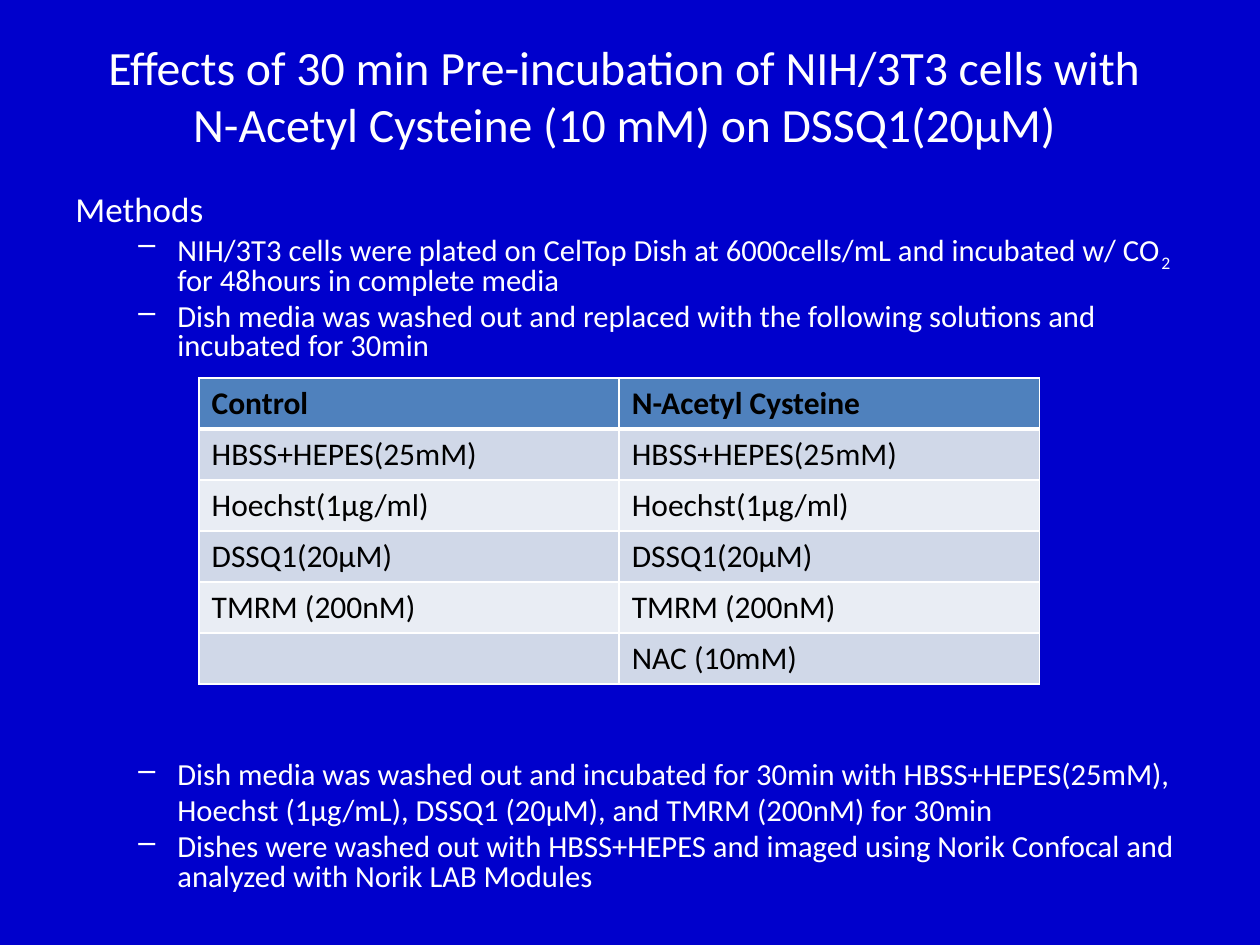
from lxml.etree import SubElement
from pptx import Presentation
from pptx.dml.color import RGBColor
from pptx.enum.text import PP_ALIGN
from pptx.oxml.ns import qn
from pptx.util import Inches, Pt

FONT = "Calibri"
WHITE = "FFFFFF"
TITLE = ("Effects of 30 min Pre-incubation of NIH/3T3 cells with "
         "N-Acetyl Cysteine (10 mM) on DSSQ1(20µM)")
PLATED = [("NIH/3T3 cells were plated on CelTop Dish at 6000cells/mL and incubated w/ CO", False),
          ("2", True), (" for 48hours in complete media", False)]
SWAPPED = [("Dish media was washed out and replaced with the following solutions "
            "and incubated for 30min", False)]
STAINED = [("Dish media was washed out and incubated for 30min with HBSS+HEPES(25mM), "
            "Hoechst (1µg/mL), DSSQ1 (20µM), and TMRM (200nM) for 30min", False)]
IMAGED = [("Dishes were washed out with HBSS+HEPES and imaged using Norik Confocal "
           "and analyzed with Norik LAB Modules", False)]
SHARED = ["HBSS+HEPES(25mM)", "Hoechst(1µg/ml)", "DSSQ1(20µM)", "TMRM (200nM)"]
ROWS = [("Control", "N-Acetyl Cysteine"), *zip(SHARED, SHARED), ("", "NAC (10mM)")]


def color(code):
    """Turn a hex string into a colour."""
    return RGBColor.from_string(code)


def style(para, size, code=WHITE, bold=False):
    """Set the font of a paragraph."""
    font = para.font
    font.name, font.size, font.bold = FONT, Pt(size), bold
    font.color.rgb = color(code)


def add_box(slide, box):
    """Add a wrapping text box and return its frame."""
    frame = slide.shapes.add_textbox(*map(Inches, box)).text_frame
    frame.word_wrap = True
    return frame


def add_title(slide, box):
    """Place the centred title."""
    para = add_box(slide, box).paragraphs[0]
    para.text = TITLE
    para.alignment = PP_ALIGN.CENTER
    style(para, 27.3)


def add_step(para, runs, line=0.8, gap=3.5):
    """Fill a paragraph as a dashed step."""
    props = para._p.get_or_add_pPr()
    props.set("marL", str(Inches(0.81)))
    props.set("indent", str(Inches(-0.31)))
    para.line_spacing = line
    para.space_before = Pt(gap)
    SubElement(props, qn("a:buChar"), char="–")
    for text, sub in runs:
        run = para.add_run()
        run.text = text
        if sub:
            run.font._element.set("baseline", "-25000")
    style(para, 17.5)


def add_setup(slide, box):
    """Place the heading and the steps before the table."""
    frame = add_box(slide, box)
    head = frame.paragraphs[0]
    head.text = "Methods"
    head.line_spacing = 0.8
    style(head, 20)
    for runs in (PLATED, SWAPPED):
        add_step(frame.add_paragraph(), runs)


def add_finish(slide, box):
    """Place the steps after the table."""
    frame = add_box(slide, box)
    add_step(frame.paragraphs[0], STAINED, line=1.0, gap=0)
    add_step(frame.add_paragraph(), IMAGED)


def add_edges(cell, widths):
    """Draw white borders, given as points by side, under the cell fill."""
    props = cell._tc.get_or_add_tcPr()
    for spot, (side, width) in enumerate(widths.items()):
        edge = SubElement(props, qn(f"a:ln{side}"), w=str(Pt(width)))
        fill = SubElement(edge, qn("a:solidFill"))
        SubElement(fill, qn("a:srgbClr"), val=WHITE)
        props.insert(spot, edge)


def add_grid(slide, box):
    """Place the table of solutions."""
    table = slide.shapes.add_table(len(ROWS), 2, *map(Inches, box)).table
    for i, row in enumerate(ROWS):
        shade = "4F81BD" if i == 0 else "D0D8E8" if i % 2 else "E9EDF4"
        for j, text in enumerate(row):
            cell = table.cell(i, j)
            cell.text = text
            style(cell.text_frame.paragraphs[0], 18, "000000", i == 0)
            cell.fill.solid()
            cell.fill.fore_color.rgb = color(shade)
            add_edges(cell, {"L": 1, "R": 1, "T": 3 if i == 1 else 1,
                             "B": 3 if i == 0 else 1})


def main():
    """Build the slide and save it."""
    deck = Presentation()
    deck.slide_width, deck.slide_height = Inches(10), Inches(7.5)
    slide = deck.slides.add_slide(deck.slide_layouts[6])
    back = slide.background.fill
    back.solid()
    back.fore_color.rgb = color("0000CC")
    add_title(slide, (0.58, 0.25, 8.75, 1.25))
    add_setup(slide, (0.5, 1.5, 9, 1.45))
    add_grid(slide, (1.58, 3, 6.67, 2.43))
    add_finish(slide, (0.5, 5.94, 9, 1.31))
    deck.save("out.pptx")


if __name__ == "__main__":
    main()
